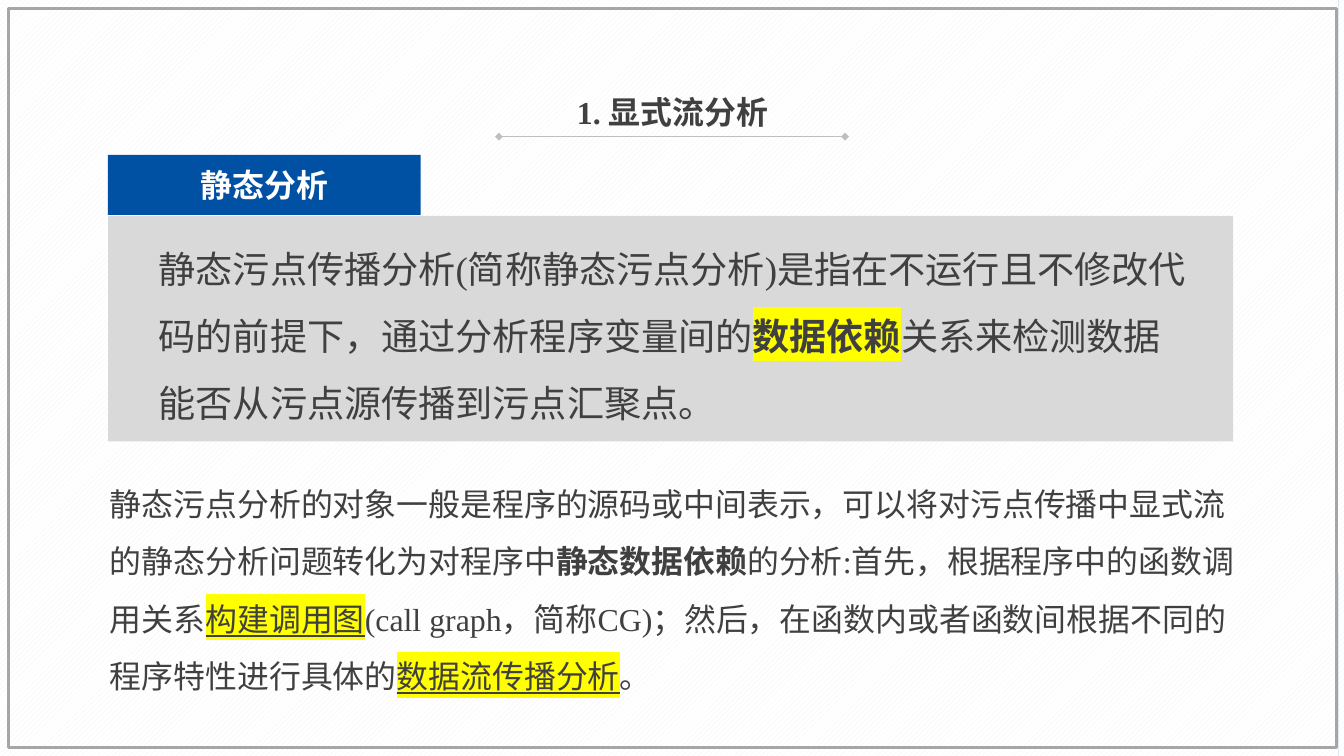
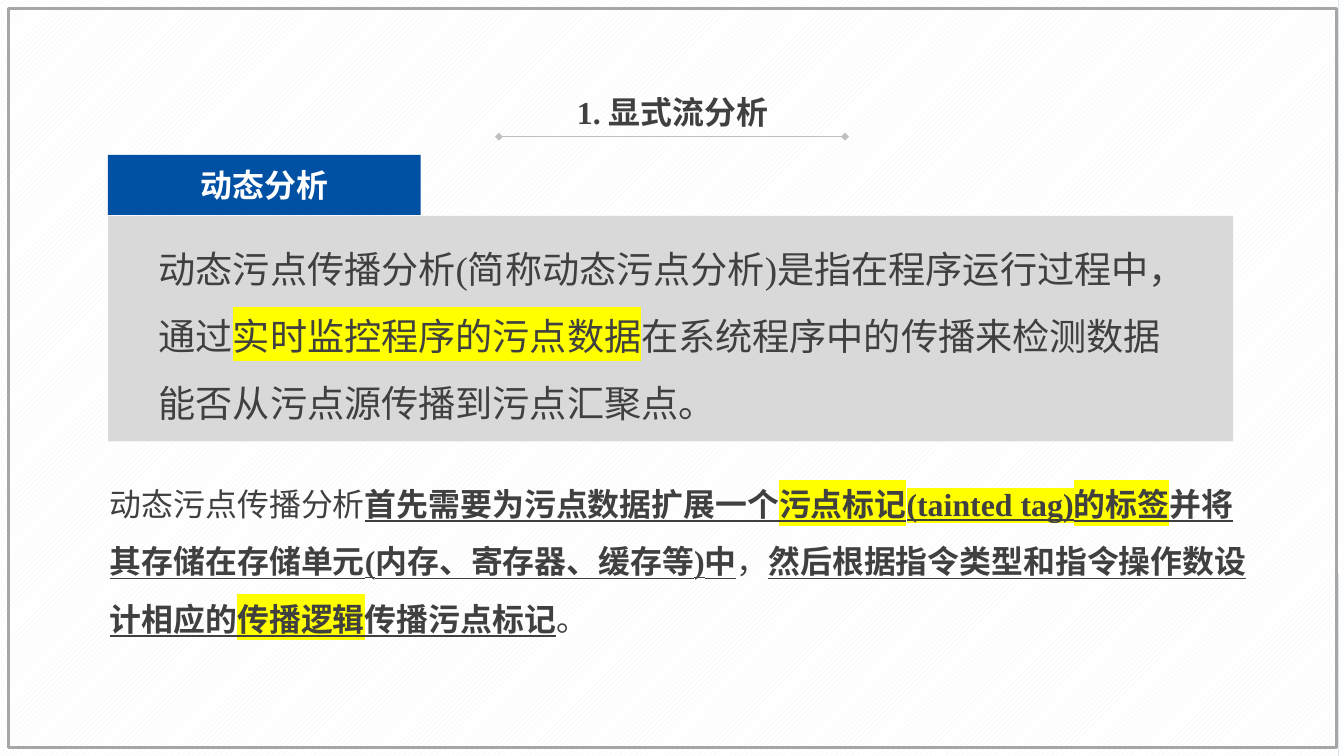
import pptx
import pptx.dml.color
import pptx.enum.dml
import pptx.enum.shapes
import pptx.enum.text
import pptx.oxml.ns
import pptx.util
from lxml import etree
from pptx.util import Inches

# Shared look
WIDTH, HEIGHT = 14.06, 7.91
FONT = "Times New Roman"
BLUE, DARK, WHITE = "0050A3", "404040", "FFFFFF"
PANEL, FRAME, RULE = "D9D9D9", "A6A6A6", "BFBFBF"
HATCH, MARKER = "F2F2F2", "FFFF00"
CORNER = [(0, 0), (2.39, 0), (2.27, 0.12), (0.12, 0.12), (0.12, 1.6), (0, 1.71)]
TITLE = "1. 显式流分析"

# Content: each span is its text and its marks (b bold, u underline, h highlight)
SLIDES = [
    {
        "tag": "静态分析",
        "definition": [
            ("静态污点传播分析(简称静态污点分析)是指在不运行且不修改代码的前提下，"
             "通过分析程序变量间的", ""),
            ("数据依赖", "bh"),
            ("关系来检测数据能否从污点源传播到污点汇聚点。", ""),
        ],
        "detail": [
            ("静态污点分析的对象一般是程序的源码或中间表示，可以将对污点传播中"
             "显式流的静态分析问题转化为对程序中", ""),
            ("静态数据依赖", "b"),
            ("的分析:首先，根据程序中的函数调用关系", ""),
            ("构建调用图", "uh"),
            ("(call graph，简称CG)；然后，在函数内或者函数间根据不同的程序特性"
             "进行具体的", ""),
            ("数据流传播分析", "uh"),
            ("。", ""),
        ],
        "detail_size": (11.97, 2.52),
    },
    {
        "tag": "动态分析",
        "definition": [
            ("动态污点传播分析(简称动态污点分析)是指在程序运行过程中，通过", ""),
            ("实时监控程序的污点数据", "h"),
            ("在系统程序中的传播来检测数据能否从污点源传播到污点汇聚点。", ""),
        ],
        "detail": [
            ("动态污点传播分析", ""),
            ("首先需要为污点数据扩展一个", "bu"),
            ("污点标记(tainted tag)的标签", "buh"),
            ("并将其存储在存储单元(内存、寄存器、缓存等)中", "bu"),
            ("，", ""),
            ("然后根据指令类型和指令操作数设计相应的", "bu"),
            ("传播逻辑", "buh"),
            ("传播污点标记", "bu"),
            ("。", ""),
        ],
        "detail_size": (12.21, 1.92),
    },
]


def color(value):
    return pptx.dml.color.RGBColor.from_string(value)


def add_xml(parent, tag, **attributes):
    return etree.SubElement(parent, pptx.oxml.ns.qn(tag), attributes)


def paint(shape, fill=None, line=None, weight=1):
    shape.shadow.inherit = False
    if fill:
        shape.fill.solid()
        shape.fill.fore_color.rgb = color(fill)
    else:
        shape.fill.background()
    if line:
        shape.line.color.rgb = color(line)
        shape.line.width = pptx.util.Pt(weight)
    else:
        shape.line.fill.background()


def place(shape, left, top, width, height):
    shape.left, shape.top = Inches(left), Inches(top)
    shape.width, shape.height = Inches(width), Inches(height)


def set_font(para, size, value, bold=None):
    font = para.font
    font.name, font.size, font.bold = FONT, pptx.util.Pt(size), bold
    font.color.rgb = color(value)


def write_line(box, text, value, anchor):
    """Write one centred, bold line."""
    frame = box.text_frame
    frame.word_wrap = True
    frame.auto_size = pptx.enum.text.MSO_AUTO_SIZE.NONE
    frame.vertical_anchor = anchor
    para = frame.paragraphs[0]
    para.text = text
    para.alignment = pptx.enum.text.PP_ALIGN.CENTER
    set_font(para, 24, value, True)


def write_spans(box, spans, size):
    """Write one paragraph of marked spans without a bullet."""
    frame = box.text_frame
    frame.word_wrap = True
    frame.auto_size = pptx.enum.text.MSO_AUTO_SIZE.NONE
    para = frame.paragraphs[0]
    properties = para._p.get_or_add_pPr()
    properties.set("marL", "0")
    properties.set("indent", "0")
    add_xml(properties, "a:buNone")
    para.line_spacing = 1.5
    para.space_before = pptx.util.Pt(0)
    set_font(para, size, DARK)
    for text, marks in spans:
        span = para.add_run()
        span.text = text
        if "b" in marks:
            span.font.bold = True
        if "u" in marks:
            span.font.underline = True
        if "h" in marks:
            highlight = add_xml(span._r.get_or_add_rPr(), "a:highlight")
            add_xml(highlight, "a:srgbClr", val=MARKER)


def add_rectangle(page, left, top, width, height, **style):
    shape = page.shapes.add_shape(
        pptx.enum.shapes.MSO_SHAPE.RECTANGLE,
        Inches(left), Inches(top), Inches(width), Inches(height))
    paint(shape, **style)
    return shape


def add_corner(page, flip_x, flip_y):
    points = [(WIDTH - x if flip_x else x, HEIGHT - y if flip_y else y)
              for x, y in CORNER]
    builder = page.shapes.build_freeform(*points[0], scale=Inches(1))
    builder.add_line_segments(points[1:], close=True)
    shape = builder.convert_to_shape()
    paint(shape, fill=BLUE)
    return shape


def decorate_layout(layout, page):
    """Give the layout its hatching, frame and corners, drawn by way of a page."""
    fill = layout.background.fill
    fill.patterned()
    fill.pattern = pptx.enum.dml.MSO_PATTERN.WIDE_UPWARD_DIAGONAL
    fill.fore_color.rgb, fill.back_color.rgb = color(HATCH), color(WHITE)
    parts = [add_rectangle(page, 0.09, 0.09, 13.89, 7.73, line=FRAME, weight=2)]
    parts += [add_corner(page, flip_x, flip_y)
              for flip_x in (False, True) for flip_y in (False, True)]
    for index, part in enumerate(parts):
        part.element.xpath(".//p:cNvPr")[0].set("id", str(100 + index))
        layout.shapes.element.insert(2 + index, part.element)


def add_title(page):
    title = page.shapes.title
    place(title, 5.03, 0.92, 4.01, 0.5)
    write_line(title, TITLE, DARK, pptx.enum.text.MSO_ANCHOR.TOP)
    rule = page.shapes.add_connector(
        pptx.enum.shapes.MSO_CONNECTOR.STRAIGHT,
        Inches(5.22), Inches(1.43), Inches(8.84), Inches(1.43))
    rule.line.color.rgb = color(RULE)
    rule.line.width = pptx.util.Pt(0.5)
    line = rule.line._get_or_add_ln()
    add_xml(line, "a:headEnd", type="diamond")
    add_xml(line, "a:tailEnd", type="diamond")
    add_xml(rule.element.spPr, "a:effectLst")


def add_tag(page, text):
    tag = add_rectangle(page, 1.13, 1.62, 3.27, 0.63, fill=BLUE)
    write_line(tag, text, WHITE, pptx.enum.text.MSO_ANCHOR.MIDDLE)


def add_definition(box, spans):
    place(box, 1.13, 2.26, 11.77, 2.36)
    box.fill.solid()
    box.fill.fore_color.rgb = color(PANEL)
    frame = box.text_frame
    frame.margin_left, frame.margin_right = Inches(0.53), Inches(0.41)
    frame.margin_top = Inches(0.08)
    write_spans(box, spans, 28)


def add_detail(box, spans, size):
    place(box, 1.05, 4.82, *size)
    write_spans(box, spans, 24)


def main():
    deck = pptx.Presentation()
    deck.slide_width, deck.slide_height = Inches(WIDTH), Inches(HEIGHT)
    layout = deck.slide_layouts.get_by_name("Two Content")
    pages = [deck.slides.add_slide(layout) for _ in SLIDES]
    decorate_layout(layout, pages[0])
    for page, content in zip(pages, SLIDES):
        add_title(page)
        add_tag(page, content["tag"])
        add_definition(page.placeholders[1], content["definition"])
        add_detail(page.placeholders[2], content["detail"], content["detail_size"])
    deck.save("out.pptx")


if __name__ == "__main__":
    main()
